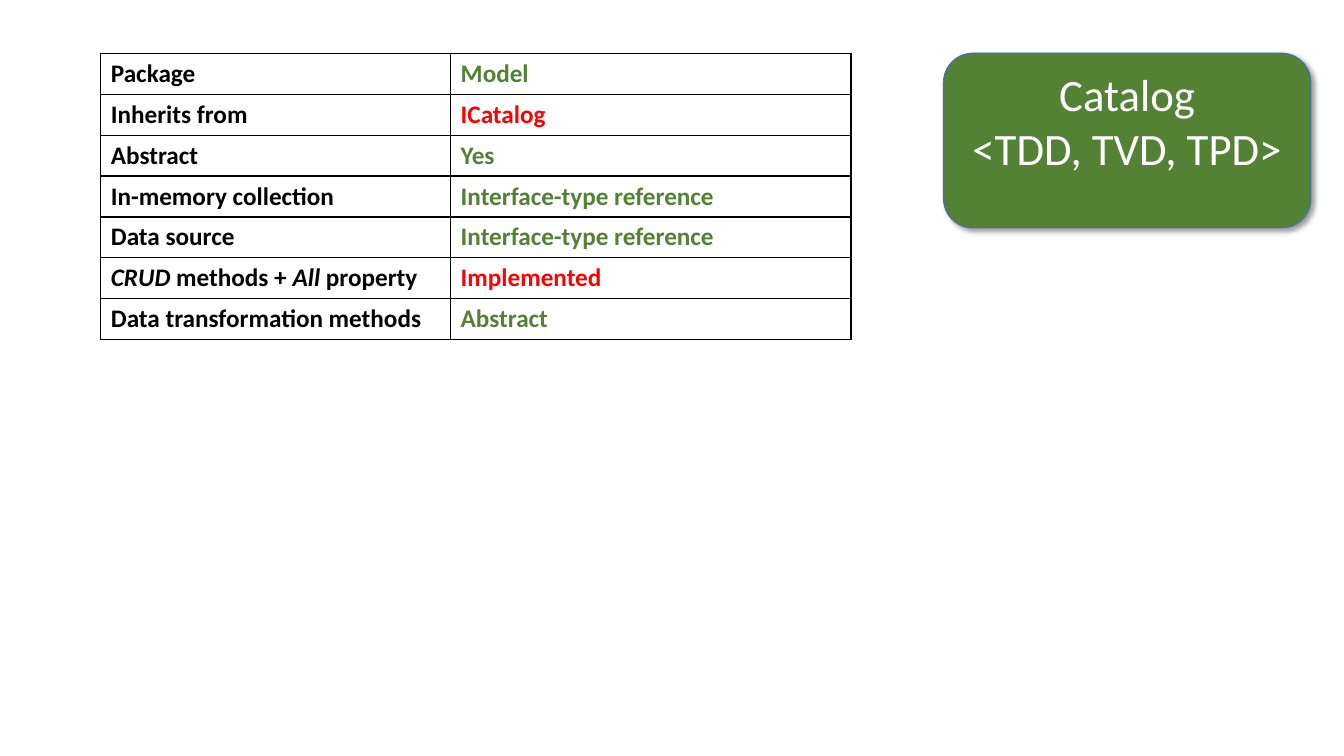
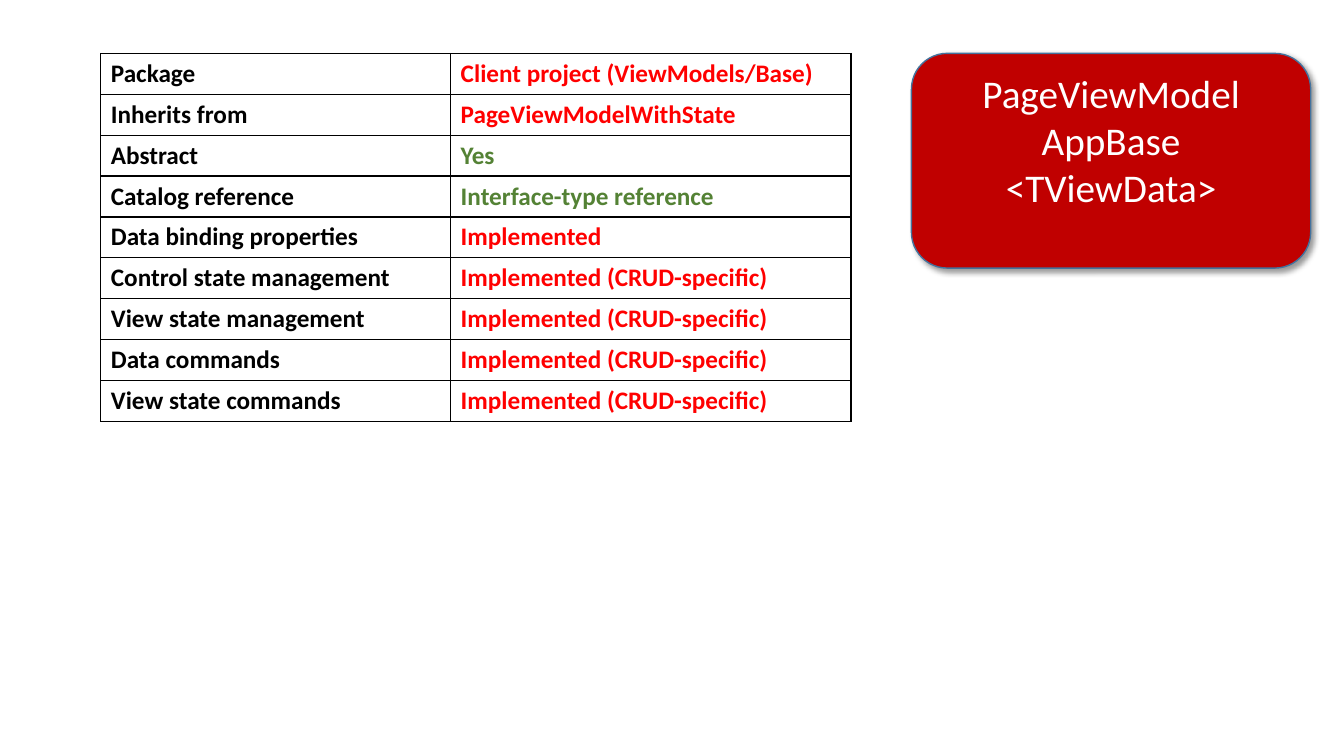
from dataclasses import dataclass

from pptx import Presentation
from pptx.dml.color import RGBColor
from pptx.enum.shapes import MSO_SHAPE
from pptx.enum.text import MSO_ANCHOR, PP_ALIGN
from pptx.oxml import parse_xml
from pptx.oxml.ns import nsdecls
from pptx.util import Inches, Pt


@dataclass(frozen=True)
class Theme:
    font: str = "Calibri"
    green: str = "548235"
    red: str = "FF0000"
    dark_red: str = "C00000"
    black: str = "000000"
    white: str = "FFFFFF"
    outline: str = "43739E"
    table_size: int = 18
    line_width: int = 1


THEME = Theme()
TOP = 0.53
TABLE_LEFT = 1
COLUMN_WIDTHS = (3.47, 3.97)
ROW_HEIGHT = 3.65 / 9
BADGE_RIGHT = 13

# Each row: label (italic words between asterisks), value, value colour
CATALOG_ROWS = [
    ("Package", "Model", THEME.green),
    ("Inherits from", "ICatalog", THEME.red),
    ("Abstract", "Yes", THEME.green),
    ("In-memory collection", "Interface-type reference", THEME.green),
    ("Data source", "Interface-type reference", THEME.green),
    ("*CRUD* methods + *All* property", "Implemented", THEME.red),
    ("Data transformation methods", "Abstract", THEME.green),
]
VIEW_MODEL_ROWS = [
    ("Package", "Client project (ViewModels/Base)", THEME.red),
    ("Inherits from", "PageViewModelWithState", THEME.red),
    ("Abstract", "Yes", THEME.green),
    ("Catalog reference", "Interface-type reference", THEME.green),
    ("Data binding properties", "Implemented", THEME.red),
    ("Control state management", "Implemented (CRUD-specific)", THEME.red),
    ("View state management", "Implemented (CRUD-specific)", THEME.red),
    ("Data commands", "Implemented (CRUD-specific)", THEME.red),
    ("View state commands", "Implemented (CRUD-specific)", THEME.red),
]


def set_font(paragraph, size, color, bold=False):
    font = paragraph.font
    font.name = THEME.font
    font.size = Pt(size)
    font.bold = bold
    font.color.rgb = RGBColor.from_string(color)


def add_shadow(shape):
    shape.shadow.inherit = False
    effects = shape._element.spPr.find("{*}effectLst")
    effects.append(parse_xml(
        f'<a:outerShdw {nsdecls("a")} blurRad="{Pt(4)}" dist="{Pt(3)}" '
        f'dir="2700000" algn="tl" rotWithShape="0">'
        f'<a:srgbClr val="{THEME.black}"><a:alpha val="40000"/></a:srgbClr>'
        f'</a:outerShdw>'))


def add_badge(page, lines, width, height, color, size):
    """Add the class-name box, aligned to the shared right edge."""
    badge = page.shapes.add_shape(
        MSO_SHAPE.ROUNDED_RECTANGLE, Inches(BADGE_RIGHT - width), Inches(TOP),
        Inches(width), Inches(height))
    badge.fill.solid()
    badge.fill.fore_color.rgb = RGBColor.from_string(color)
    badge.line.color.rgb = RGBColor.from_string(THEME.outline)
    badge.line.width = Pt(THEME.line_width)
    add_shadow(badge)
    frame = badge.text_frame
    frame.word_wrap = True
    frame.vertical_anchor = MSO_ANCHOR.TOP
    frame.text = "\n".join(lines)
    for paragraph in frame.paragraphs:
        paragraph.alignment = PP_ALIGN.CENTER
        set_font(paragraph, size, THEME.white)


def add_borders(cell):
    properties = cell._tc.get_or_add_tcPr()
    for side in ("lnL", "lnR", "lnT", "lnB"):
        properties.append(parse_xml(
            f'<a:{side} {nsdecls("a")} w="{Pt(THEME.line_width)}"><a:solidFill>'
            f'<a:srgbClr val="{THEME.black}"/></a:solidFill></a:{side}>'))


def fill_cell(cell, text, color):
    """Style a cell and write its text; words between asterisks are italic."""
    add_borders(cell)
    cell.fill.background()
    paragraph = cell.text_frame.paragraphs[0]
    set_font(paragraph, THEME.table_size, color, bold=True)
    for index, part in enumerate(text.split("*")):
        if part:
            span = paragraph.add_run()
            span.text = part
            if index % 2:
                span.font.italic = True


def add_property_table(page, rows):
    table = page.shapes.add_table(
        len(rows), len(COLUMN_WIDTHS), Inches(TABLE_LEFT), Inches(TOP),
        Inches(sum(COLUMN_WIDTHS)), Inches(ROW_HEIGHT * len(rows))).table
    table.first_row = False
    table.horz_banding = False
    for column, width in zip(table.columns, COLUMN_WIDTHS):
        column.width = Inches(width)
    for index, (label, value, color) in enumerate(rows):
        fill_cell(table.cell(index, 0), label, THEME.black)
        fill_cell(table.cell(index, 1), value, color)


def add_page(deck):
    return deck.slides.add_slide(deck.slide_layouts[6])


def main():
    deck = Presentation()
    deck.slide_width = Inches(13.33)
    deck.slide_height = Inches(7.5)

    page = add_page(deck)
    add_badge(page, ["Catalog", "<TDD, TVD, TPD>"], 3.64, 1.73, THEME.green, 32)
    add_property_table(page, CATALOG_ROWS)

    page = add_page(deck)
    add_badge(page, ["PageViewModel", "AppBase", "<TViewData>"],
              3.96, 2.13, THEME.dark_red, 28)
    add_property_table(page, VIEW_MODEL_ROWS)

    deck.save("out.pptx")


if __name__ == "__main__":
    main()
